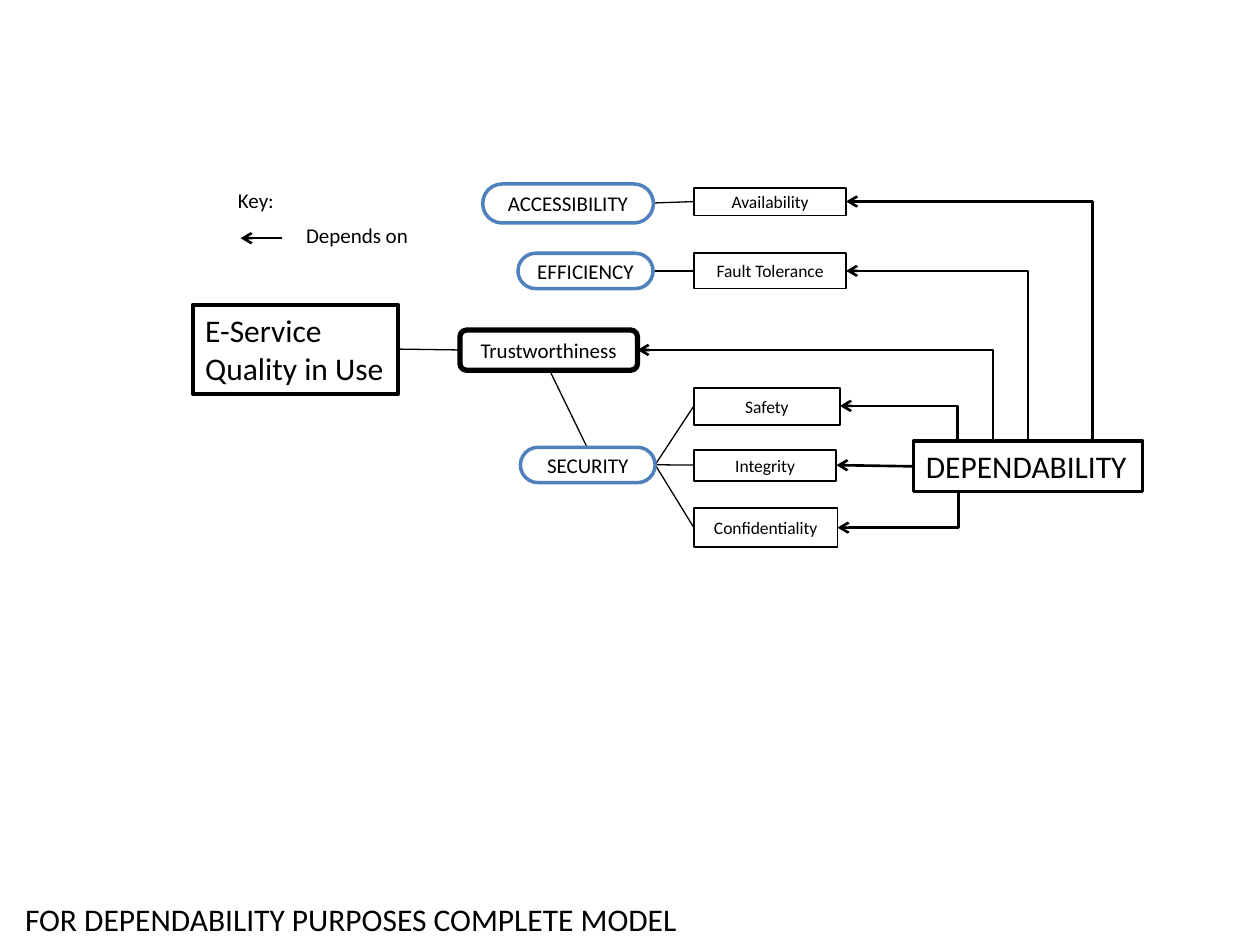
from pptx import Presentation
from pptx.dml.color import RGBColor
from pptx.enum.shapes import MSO_CONNECTOR, MSO_SHAPE
from pptx.enum.text import MSO_ANCHOR, PP_ALIGN
from pptx.oxml.ns import qn
from pptx.util import Pt
from lxml import etree

RECT, ROUND = MSO_SHAPE.RECTANGLE, MSO_SHAPE.ROUNDED_RECTANGLE
LINE, ELBOW = MSO_CONNECTOR.STRAIGHT, MSO_CONNECTOR.ELBOW
MIDDLE, TOP = MSO_ANCHOR.MIDDLE, MSO_ANCHOR.TOP
CENTER, LEFT = PP_ALIGN.CENTER, PP_ALIGN.LEFT
COLORS = {name: RGBColor.from_string(value) for name, value in
          {"black": "000000", "white": "FFFFFF", "blue": "4F81BD"}.items()}

prs = Presentation()
prs.slide_width, prs.slide_height = Pt(720), Pt(540)
s = prs.slides.add_slide(prs.slide_layouts[6])


def write(sp, text, size, align=LEFT, anchor=TOP, wrap=False):
    tf = sp.text_frame
    tf.text = text
    tf.word_wrap, tf.vertical_anchor = wrap, anchor
    font = {"name": "Calibri", "size": Pt(size)}
    for p in tf.paragraphs:
        p.alignment = align
        for r in p.runs:
            r.font.color.rgb = COLORS["black"]
            for key, value in font.items():
                setattr(r.font, key, value)


def connect(kind, start, end, width=0.75, arrow=False):
    c = s.shapes.add_connector(kind, *map(Pt, start + end))
    c.line.color.rgb, c.line.width = COLORS["black"], Pt(width)
    etree.SubElement(c._element.spPr, qn("a:effectLst"))
    if arrow:
        etree.SubElement(c.line._get_or_add_ln(), qn("a:tailEnd"), type="arrow")
    if kind == ELBOW:  # turn straight at the start: up or down, then across
        guides = c._element.spPr.find(qn("a:prstGeom")).get_or_add_avLst()
        etree.SubElement(guides, qn("a:gd"), name="adj1", fmla="val 0")


# Plain links between the quality factors
for start, end in [
    ((227.5, 199.5), (262.8, 200)),
    ((335.5, 255.6), (314, 211.5)),
    ((396.5, 115.2), (373.2, 116)),
    ((396.5, 154.8), (373.2, 154.8)),
    ((396.5, 232), (374.4, 265.6)),
    ((396.5, 265.8), (374.4, 265.6)),
    ((396.5, 301.5), (374.4, 265.6)),
]:
    connect(LINE, start, end)

# Factors and attributes: text, box, corner, line colour, line width, text size
factors = [
    ("ACCESSIBILITY", (275.8, 105.1, 97.6, 22.3), 0.5, "blue", 2, 12),
    ("EFFICIENCY", (296, 144.7, 77.2, 20.2), 0.5, "blue", 2, 12),
    ("SECURITY", (297.4, 255.6, 77, 20.2), 0.5, "blue", 2, 12),
    ("Trustworthiness", (262.8, 188.6, 101.5, 23), 0.167, "black", 3, 12),
]
attributes = [
    ("Availability", 107.3, 87, 15.8),
    ("Fault Tolerance", 144.7, 87, 20.2),
    ("Safety", 221.8, 83.5, 20.9),
    ("Integrity", 257, 81.4, 18),
    ("Confidentiality", 290.2, 82.1, 22.3),
]
for text, top, width, height in attributes:
    factors.append((text, (396.5, top, width, height), 0, "black", 1, 10))

for text, box, corner, color, width, size in factors:
    sp = s.shapes.add_shape(ROUND, *map(Pt, box))
    sp.adjustments[0] = corner
    sp.shadow.inherit = False
    sp.fill.solid()
    sp.fill.fore_color.rgb = COLORS["white"]
    sp.line.color.rgb, sp.line.width = COLORS[color], Pt(width)
    tf = sp.text_frame
    tf.margin_left = tf.margin_right = tf.margin_top = tf.margin_bottom = 0
    write(sp, text, size, CENTER, MIDDLE, True)

# Main concepts
for text, box in [
    ("E-Service\nQuality in Use", (110.2, 174.2, 117.4, 51)),
    ("DEPENDABILITY", (522, 252, 131, 29)),
]:
    sp = s.shapes.add_shape(RECT, *map(Pt, box))
    sp.shadow.inherit = False
    sp.fill.solid()
    sp.fill.fore_color.rgb = COLORS["white"]
    sp.line.color.rgb, sp.line.width = COLORS["black"], Pt(2)
    write(sp, text, 18)

# Arrows from dependability
for start, end in [
    ((624.2, 252), (483.5, 115.2)),
    ((587.5, 252), (483.5, 154.8)),
    ((567.4, 252), (364.3, 200)),
    ((547.2, 252), (480, 232)),
    ((547.9, 281), (478.6, 301.5)),
]:
    connect(ELBOW, start, end, 1.5, True)
connect(LINE, (522, 266.5), (478, 265.8), 1.5, True)

# Key and caption
connect(LINE, (161.3, 136.1), (137.5, 136.1), 1.5, True)
for text, box, size in [
    ("Key:", (128.9, 103.7, 35.3, 21.6), 12),
    ("Depends on", (167.8, 123.8, 85.7, 21.6), 12),
    ("FOR DEPENDABILITY PURPOSES COMPLETE MODEL", (7.2, 511, 392.4, 29), 18),
]:
    write(s.shapes.add_textbox(*map(Pt, box)), text, size)

prs.save("out.pptx")
